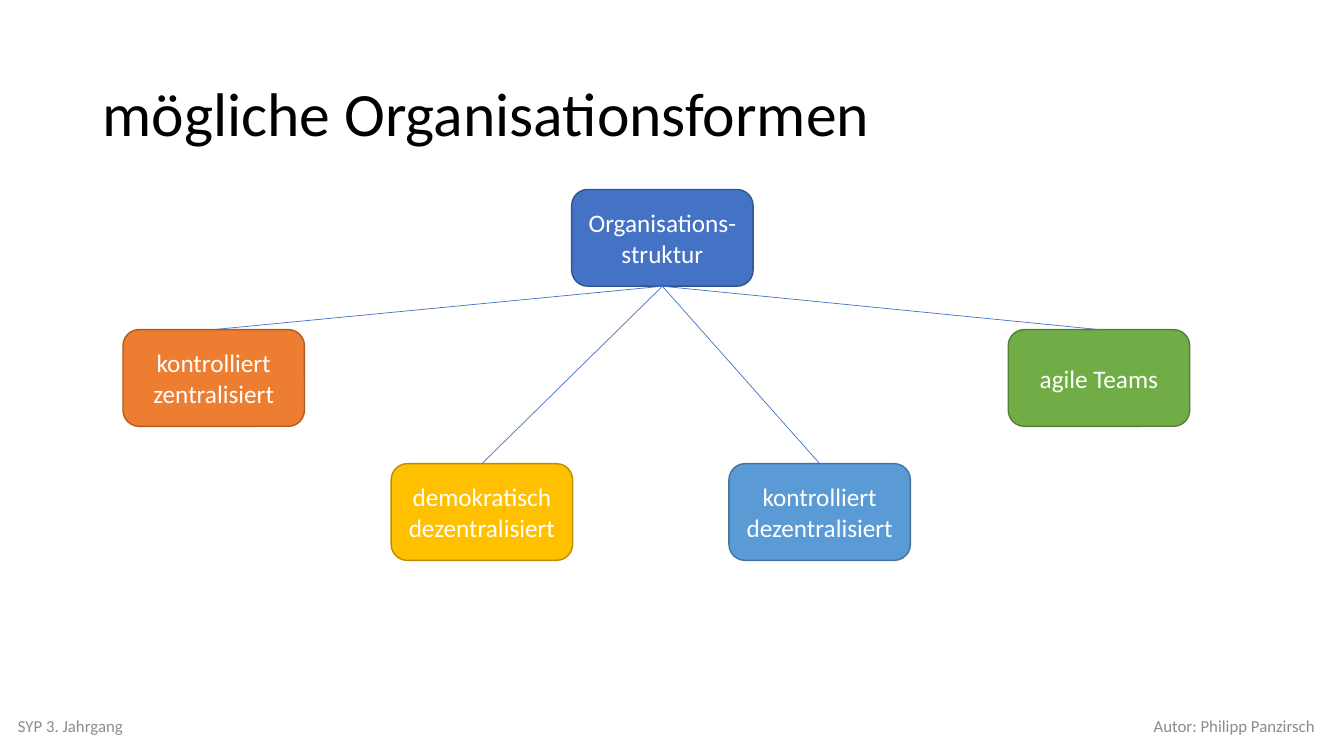
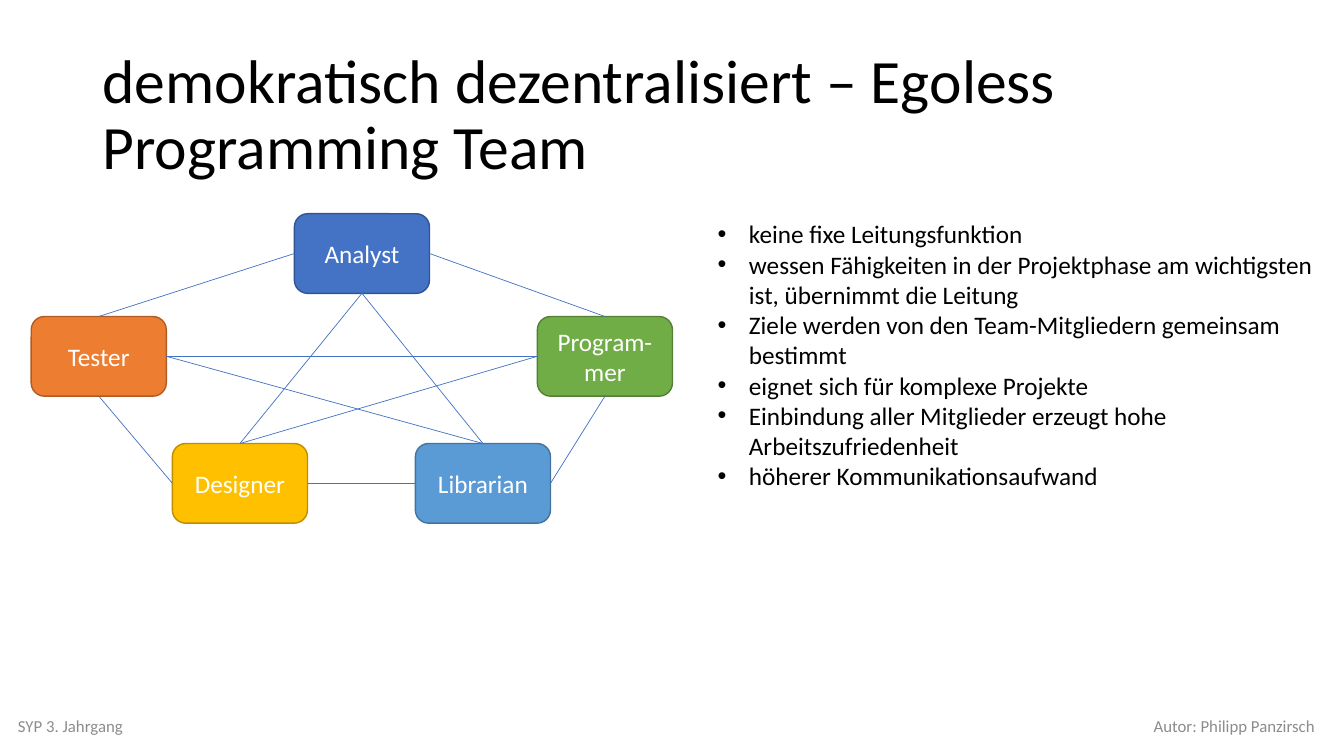
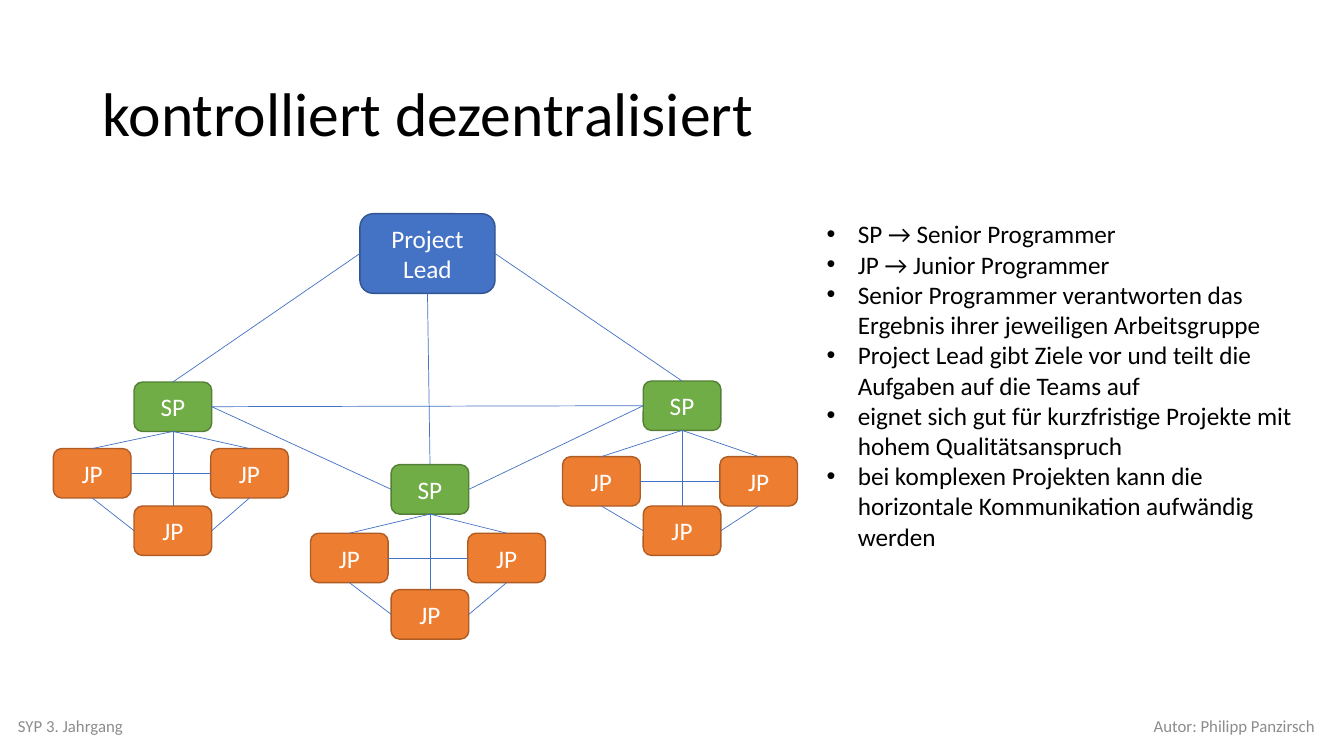
from lxml.etree import SubElement
from pptx import Presentation
from pptx.dml.color import RGBColor
from pptx.enum.shapes import MSO_CONNECTOR, MSO_SHAPE
from pptx.enum.text import MSO_ANCHOR, MSO_AUTO_SIZE, PP_ALIGN
from pptx.oxml.ns import qn
from pptx.util import Inches, Pt

FONT = "Calibri"
BLACK = RGBColor(0x00, 0x00, 0x00)
WHITE = RGBColor(0xFF, 0xFF, 0xFF)
GRAY = RGBColor(0x8C, 0x8C, 0x8C)
LINK_BLUE = RGBColor(0x44, 0x72, 0xC4)

# Each pair is a fill and its darker outline.
BLUE = (LINK_BLUE, RGBColor(0x32, 0x54, 0x91))
ORANGE = (RGBColor(0xED, 0x7D, 0x31), RGBColor(0xAF, 0x5C, 0x24))
YELLOW = (RGBColor(0xFF, 0xC0, 0x00), RGBColor(0xBD, 0x8E, 0x00))
LIGHT_BLUE = (RGBColor(0x5B, 0x9B, 0xD5), RGBColor(0x43, 0x73, 0x9E))
GREEN = (RGBColor(0x70, 0xAD, 0x47), RGBColor(0x53, 0x80, 0x35))

# Connection sites of a rounded rectangle
TOP, LEFT, BOTTOM, RIGHT = range(4)

FORM_SIZE = (1.8, 0.96)
ROLE_SIZE = (1.34, 0.79)
MEMBER_SIZE = (0.77, 0.49)


class Deck:
    """Holds the shared style and the slide being built."""

    def __init__(self):
        self.prs = Presentation()
        self.prs.slide_width = Inches(13.33)
        self.prs.slide_height = Inches(7.5)
        self.slide = None

    def new_slide(self, title):
        self.slide = self.prs.slides.add_slide(self.prs.slide_layouts[6])
        heading = self.text(title, (0.92, 0.43, 11.5, 1.45), 44, BLACK)
        heading.line_spacing = 0.9
        self.text("SYP 3. Jahrgang", (0.08, 7, 4.5, 0.4), 12, GRAY)
        author = self.text("Autor: Philipp Panzirsch", (8.64, 7, 4.5, 0.4), 12, GRAY)
        author.alignment = PP_ALIGN.RIGHT

    def frame(self, area):
        box = self.slide.shapes.add_textbox(*map(Inches, area))
        box.text_frame.word_wrap = True
        return box.text_frame

    def run(self, paragraph, wording, size, color):
        run = paragraph.add_run()
        run.text = wording
        run.font.name = FONT
        run.font.size = Pt(size)
        run.font.color.rgb = color

    def text(self, wording, area, size, color):
        """Adds one vertically centred paragraph and returns it."""
        frame = self.frame(area)
        frame.vertical_anchor = MSO_ANCHOR.MIDDLE
        paragraph = frame.paragraphs[0]
        self.run(paragraph, wording, size, color)
        return paragraph

    def bullets(self, points, area):
        frame = self.frame(area)
        frame.auto_size = MSO_AUTO_SIZE.SHAPE_TO_FIT_TEXT
        for index, point in enumerate(points):
            paragraph = frame.add_paragraph() if index else frame.paragraphs[0]
            properties = paragraph._p.get_or_add_pPr()
            properties.set("marL", str(Inches(0.31)))
            properties.set("indent", str(Inches(-0.31)))
            SubElement(properties, qn("a:buFont"), typeface="Arial")
            SubElement(properties, qn("a:buChar"), char="•")
            self.run(paragraph, point, 18, BLACK)

    def node(self, label, left, top, size, colors):
        box = self.slide.shapes.add_shape(
            MSO_SHAPE.ROUNDED_RECTANGLE, *map(Inches, (left, top, *size)))
        fill, outline = colors
        box.shadow.inherit = False
        box.fill.solid()
        box.fill.fore_color.rgb = fill
        box.line.color.rgb = outline
        box.line.width = Pt(1)
        frame = box.text_frame
        frame.word_wrap = True
        frame.vertical_anchor = MSO_ANCHOR.MIDDLE
        paragraph = frame.paragraphs[0]
        paragraph.alignment = PP_ALIGN.CENTER
        self.run(paragraph, label, 18, WHITE)
        return box

    def link(self, start, start_site, end, end_site):
        line = self.slide.shapes.add_connector(MSO_CONNECTOR.STRAIGHT, 0, 0, 0, 0)
        line.begin_connect(start, start_site)
        line.end_connect(end, end_site)
        line.line.color.rgb = LINK_BLUE
        line.line.width = Pt(0.5)
        SubElement(line._element.spPr, qn("a:effectLst"))

    def links(self, *ends):
        for end in ends:
            self.link(*end)

    def team(self, left, top, side_top, low_top):
        """Draws a senior with three linked juniors and returns the senior."""
        senior = self.node("SP", left, top, MEMBER_SIZE, GREEN)
        west, low, east = [
            self.node("JP", left + shift, junior_top, MEMBER_SIZE, ORANGE)
            for shift, junior_top in ((-0.8, side_top), (0, low_top), (0.76, side_top))]
        self.links(
            (senior, BOTTOM, west, TOP),
            (senior, BOTTOM, east, TOP),
            (senior, BOTTOM, low, TOP),
            (west, BOTTOM, low, LEFT),
            (east, BOTTOM, low, RIGHT),
            (west, RIGHT, east, LEFT))
        return senior


def organisation_forms(deck):
    deck.new_slide("mögliche Organisationsformen")
    root = deck.node("Organisations-struktur", 5.67, 1.88, FORM_SIZE, BLUE)
    for label, left, top, colors in (
            ("kontrolliert zentralisiert", 1.22, 3.27, ORANGE),
            ("demokratisch dezentralisiert", 3.88, 4.6, YELLOW),
            ("kontrolliert dezentralisiert", 7.23, 4.6, LIGHT_BLUE),
            ("agile Teams", 10, 3.27, GREEN)):
        form = deck.node(label, left, top, FORM_SIZE, colors)
        deck.link(root, BOTTOM, form, TOP)


def egoless_team(deck):
    deck.new_slide("demokratisch dezentralisiert – Egoless Programming Team")
    analyst, tester, designer, librarian, programmer = [
        deck.node(label, left, top, ROLE_SIZE, colors)
        for label, left, top, colors in (
            ("Analyst", 2.92, 2.12, BLUE),
            ("Tester", 0.31, 3.14, ORANGE),
            ("Designer", 1.71, 4.4, YELLOW),
            ("Librarian", 4.12, 4.4, LIGHT_BLUE),
            ("Program-mer", 5.33, 3.14, GREEN))]
    deck.links(
        (analyst, LEFT, tester, TOP),
        (analyst, BOTTOM, designer, TOP),
        (analyst, BOTTOM, librarian, TOP),
        (analyst, RIGHT, programmer, TOP),
        (tester, BOTTOM, designer, LEFT),
        (designer, RIGHT, librarian, LEFT),
        (librarian, RIGHT, programmer, BOTTOM),
        (tester, RIGHT, programmer, LEFT),
        (tester, RIGHT, librarian, TOP),
        (programmer, LEFT, designer, TOP))
    deck.bullets((
        "keine fixe Leitungsfunktion",
        "wessen Fähigkeiten in der Projektphase am wichtigsten ist, übernimmt die Leitung",
        "Ziele werden von den Team-Mitgliedern gemeinsam bestimmt",
        "eignet sich für komplexe Projekte",
        "Einbindung aller Mitglieder erzeugt hohe Arbeitszufriedenheit",
        "höherer Kommunikationsaufwand",
    ), (7.02, 2.12, 6.13, 2.83))


def controlled_decentralised(deck):
    deck.new_slide("kontrolliert dezentralisiert")
    lead = deck.node("Project Lead", 3.57, 2.12, ROLE_SIZE, BLUE)
    west = deck.team(1.33, 3.79, 4.45, 5.02)
    middle = deck.team(3.88, 4.61, 5.29, 5.85)
    east = deck.team(6.38, 3.78, 4.53, 5.02)
    deck.links(
        (lead, LEFT, west, TOP),
        (lead, BOTTOM, middle, TOP),
        (lead, RIGHT, east, TOP),
        (west, RIGHT, middle, LEFT),
        (middle, RIGHT, east, LEFT),
        (west, RIGHT, east, LEFT))
    deck.bullets((
        "SP → Senior Programmer",
        "JP → Junior Programmer",
        "Senior Programmer verantworten das Ergebnis ihrer jeweiligen Arbeitsgruppe",
        "Project Lead gibt Ziele vor und teilt die Aufgaben auf die Teams auf",
        "eignet sich gut für kurzfristige Projekte mit hohem Qualitätsanspruch",
        "bei komplexen Projekten kann die horizontale Kommunikation aufwändig werden",
    ), (8.1, 2.12, 5.13, 3.43))


def main():
    deck = Deck()
    organisation_forms(deck)
    egoless_team(deck)
    controlled_decentralised(deck)
    deck.prs.save("out.pptx")


if __name__ == "__main__":
    main()
